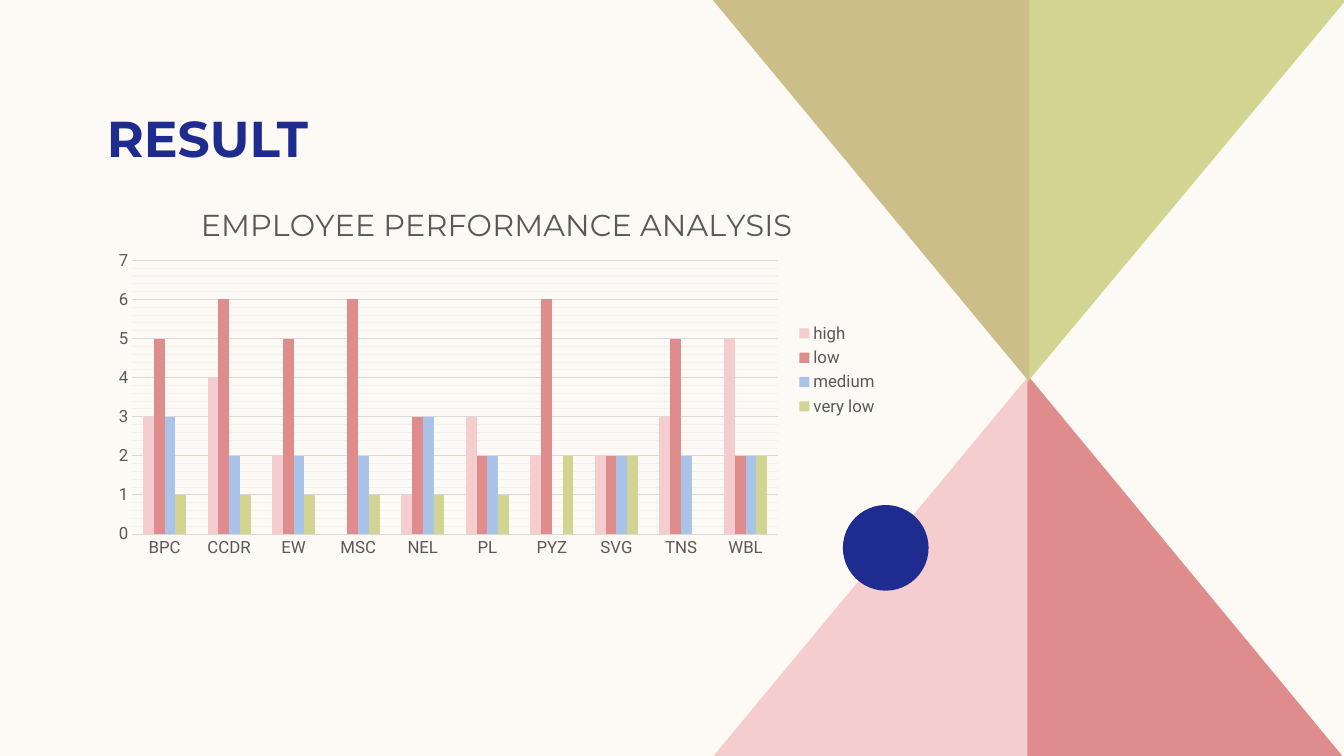
import copy

import pptx
import pptx.chart.data
import pptx.dml.color
import pptx.enum.chart
import pptx.enum.shapes
import pptx.enum.text
import pptx.oxml
import pptx.util

Inches = pptx.util.Inches
Pt = pptx.util.Pt

NAVY, PINK, ROSE, BLUE = "1F2C8F", "F5CDCE", "DE8C8C", "AAC3E8"
OLIVE, SAND, CREAM = "D2D592", "CCBE89", "FDFAF6"
GREY, GRID, FAINT_GRID = "595959", "D9D9D9", "F2F2F2"


def color(hex_string):
    return pptx.dml.color.RGBColor.from_string(hex_string)


class SlideBuilder:
    """Hold the slide and its style, with one method per kind of element."""

    heading_font = "Montserrat"
    body_font = "Roboto"

    def __init__(self, presentation, background):
        self.slide = presentation.slides.add_slide(presentation.slide_layouts[5])
        self.paint(self.slide.background, background)

    def paint(self, target, fill):
        target.fill.solid()
        target.fill.fore_color.rgb = color(fill)

    def finish(self, shape, fill):
        self.paint(shape, fill)
        shape.line.fill.background()
        shape.shadow.inherit = False

    def style_font(self, font, name, size, hex_string, bold=False):
        font.name = name
        font.size = Pt(size)
        font.color.rgb = color(hex_string)
        font.bold = bold

    def style_line(self, line, hex_string):
        line.color.rgb = color(hex_string)
        line.width = Pt(0.75)

    def triangle(self, tip, corner, fill):
        builder = self.slide.shapes.build_freeform(
            Inches(tip[0]), Inches(tip[1]), scale=1.0)
        points = [corner, (tip[0], corner[1])]
        builder.add_line_segments([(Inches(x), Inches(y)) for x, y in points])
        self.finish(builder.convert_to_shape(), fill)

    def circle(self, left, top, diameter, fill):
        shape = self.slide.shapes.add_shape(
            pptx.enum.shapes.MSO_SHAPE.OVAL,
            Inches(left), Inches(top), Inches(diameter), Inches(diameter))
        self.finish(shape, fill)

    def title(self, text, left, top, width, height):
        shape = self.slide.shapes.title
        shape.left, shape.top = Inches(left), Inches(top)
        shape.width, shape.height = Inches(width), Inches(height)
        frame = shape.text_frame
        frame.text = text
        frame.word_wrap = True
        frame.vertical_anchor = pptx.enum.text.MSO_ANCHOR.BOTTOM
        frame.margin_left = frame.margin_right = Inches(0.1)
        frame.margin_top = frame.margin_bottom = 0
        paragraph = frame.paragraphs[0]
        paragraph.alignment = pptx.enum.text.PP_ALIGN.LEFT
        self.style_font(paragraph.runs[0].font, self.heading_font, 36, NAVY, True)

    def place(self, element, x, y, width=None, height=None, inner=False):
        parts = ['<c:layoutTarget val="inner"/>'] if inner else []
        parts += ['<c:xMode val="edge"/>', '<c:yMode val="edge"/>']
        for tag, value in (("x", x), ("y", y), ("w", width), ("h", height)):
            if value is not None:
                parts.append(f'<c:{tag} val="{value}"/>')
        namespace = "http://schemas.openxmlformats.org/drawingml/2006/chart"
        layout = pptx.oxml.parse_xml(
            f'<c:layout xmlns:c="{namespace}"><c:manualLayout>'
            f'{"".join(parts)}</c:manualLayout></c:layout>')
        for old in element.xpath("./c:layout"):
            element.remove(old)
        before = element.xpath("./c:tx | ./c:legendPos")
        if before:
            before[-1].addnext(layout)
        else:
            element.insert(0, layout)

    def column_chart(self, heading, categories, series, left, top, width, height):
        data = pptx.chart.data.CategoryChartData()
        data.categories = categories
        for name, (_, values) in series.items():
            data.add_series(name, values)
        chart = self.slide.shapes.add_chart(
            pptx.enum.chart.XL_CHART_TYPE.COLUMN_CLUSTERED,
            Inches(left), Inches(top), Inches(width), Inches(height), data).chart
        self.style_font(chart.font, self.body_font, 12, GREY)

        chart.has_title = True
        frame = chart.chart_title.text_frame
        frame.text = heading
        self.style_font(
            frame.paragraphs[0].runs[0].font, self.heading_font, 21.6, GREY)

        plot = chart.plots[0]
        plot.gap_width = 199
        plot.overlap = 0
        plot.vary_by_categories = False
        for item, (fill, _) in zip(plot.series, series.values()):
            self.paint(item.format, fill)
            item.invert_if_negative = False

        self.style_axes(chart)
        chart.has_legend = True
        chart.legend.position = pptx.enum.chart.XL_LEGEND_POSITION.RIGHT
        chart.legend.include_in_layout = False
        self.style_font(chart.legend.font, self.body_font, 12, GREY)

        plot_area = chart.element.xpath("./c:chart/c:plotArea")[0]
        title = chart.element.xpath("./c:chart/c:title")[0]
        legend = chart.element.xpath("./c:chart/c:legend")[0]
        self.place(plot_area, 0.04, 0.22, 0.82, 0.7, inner=True)
        self.place(title, 0.12, 0.06)
        self.place(legend, 0.88, 0.37, 0.11, 0.26)

    def style_axes(self, chart):
        for axis in (chart.category_axis, chart.value_axis):
            axis.major_tick_mark = pptx.enum.chart.XL_TICK_MARK.NONE
            axis.minor_tick_mark = pptx.enum.chart.XL_TICK_MARK.NONE
            self.style_font(axis.tick_labels.font, self.body_font, 12, GREY)
        axis = chart.value_axis
        axis.minimum_scale, axis.maximum_scale = 0, 7
        axis.major_unit, axis.minor_unit = 1, 0.2
        axis.has_major_gridlines = axis.has_minor_gridlines = True
        axis.format.line.fill.background()
        self.style_line(chart.category_axis.format.line, GRID)

        grid_line = axis.major_gridlines.format.line
        self.style_line(grid_line, FAINT_GRID)
        minor = chart.element.xpath(".//c:valAx/c:minorGridlines")[0]
        faint = chart.element.xpath(".//c:valAx/c:majorGridlines/c:spPr")[0]
        minor.append(copy.deepcopy(faint))
        self.style_line(grid_line, GRID)


def main():
    presentation = pptx.Presentation()
    presentation.slide_width = Inches(13.33)
    presentation.slide_height = Inches(7.5)
    builder = SlideBuilder(presentation, CREAM)

    builder.triangle((10.21, 3.72), (7.06, 7.52), PINK)
    builder.triangle((10.19, 3.72), (13.33, 7.52), ROSE)
    builder.triangle((10.19, 3.79), (13.35, 0), OLIVE)
    builder.triangle((10.21, 3.79), (7.07, 0), SAND)
    builder.circle(8.36, 5.01, 0.85, NAVY)

    builder.title("RESULT", 0.96, -0.01, 7.2, 1.67)
    categories = ["BPC", "CCDR", "EW", "MSC", "NEL",
                  "PL", "PYZ", "SVG", "TNS", "WBL"]
    series = {
        "high": (PINK, [3, 4, 2, None, 1, 3, 2, 2, 3, 5]),
        "low": (ROSE, [5, 6, 5, 6, 3, 2, 6, 2, 5, 2]),
        "medium": (BLUE, [3, 2, 2, 2, 3, 2, None, 2, 2, 2]),
        "very low": (OLIVE, [1, 1, 1, 1, 1, 1, 2, 2, None, 2]),
    }
    builder.column_chart("EMPLOYEE PERFORMANCE ANALYSIS", categories, series,
                         1, 1.73, 7.81, 3.88)
    presentation.save("out.pptx")


if __name__ == "__main__":
    main()
